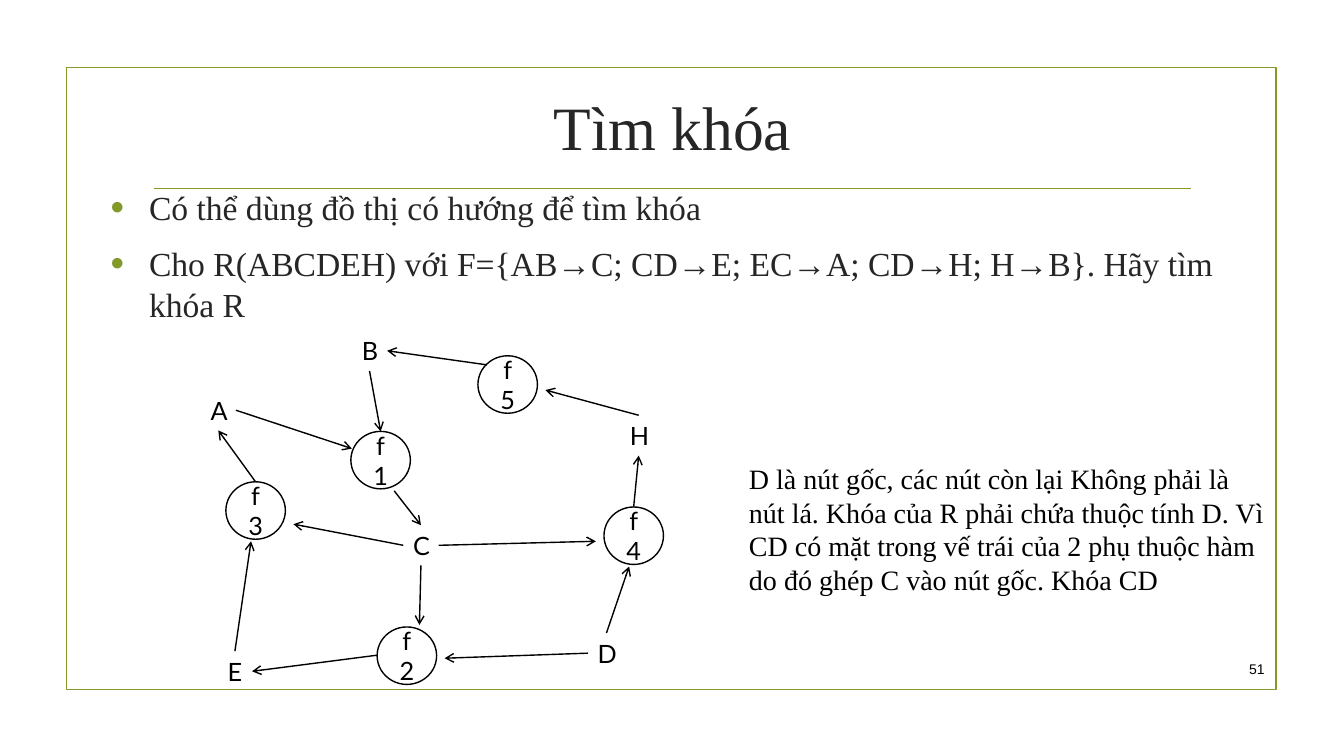
from dataclasses import dataclass

from lxml.etree import SubElement
from pptx import Presentation
from pptx.dml.color import RGBColor
from pptx.enum.shapes import MSO_CONNECTOR as Connector, MSO_SHAPE as Shape
from pptx.enum.text import MSO_ANCHOR as Anchor, PP_ALIGN as Align
from pptx.oxml.ns import qn
from pptx.util import Emu, Pt

PX = 9144


@dataclass(frozen=True)
class Theme:
    green: RGBColor = RGBColor(0x83, 0x99, 0x2A)
    heading: RGBColor = RGBColor(0x26, 0x26, 0x26)
    black: RGBColor = RGBColor(0, 0, 0)
    serif: str = "Times New Roman"
    node_font: str = "Lato"
    number_font: str = "Arial"
    title_size: int = 44
    body_size: int = 24
    note_size: int = 20
    node_size: int = 18
    number_size: int = 10
    frame_width: float = 1.25
    edge_width: float = 1


THEME = Theme()
TITLE = "Tìm khóa"
BULLETS = (
    "Có thể dùng đồ thị có hướng để tìm khóa",
    "Cho R(ABCDEH) với F={AB→C; CD→E; EC→A; CD→H; H→B}. Hãy tìm khóa R",
)
NOTE = (
    "D là nút gốc, các nút còn lại Không phải là nút lá. Khóa của R phải chứa thuộc "
    "tính D. Vì CD có mặt trong vế trái của 2 phụ thuộc hàm do đó ghép C vào nút gốc. "
    "Khóa CD"
)
ATTRIBUTES = {
    "B": (150, 0, 35),
    "A": (0, 59, 35),
    "D": (384, 300, 37),
    "H": (416, 84, 37),
    "E": (17, 318, 34),
    "C": (201, 193, 35),
}
DEPENDENCIES = {
    "f3": (25, 150),
    "f2": (175, 294),
    "f4": (400, 175),
    "f5": (275, 25),
    "f1": (149, 100),
}
TOP, LEFT, BOTTOM, RIGHT = range(4)
EDGES = (
    (("B", BOTTOM), ("f1", TOP)),
    (("A", RIGHT), (150, 117)),
    ((192, 159), ("C", TOP)),
    (("f4", TOP), ("H", BOTTOM)),
    (("H", TOP), (342, 59)),
    ((284, 34), ("B", RIGHT)),
    (("C", BOTTOM), (217, 292)),
    (("D", LEFT), (242, 325)),
    ((175, 322), ("E", RIGHT)),
    (("E", TOP), (50, 209)),
    (("C", LEFT), (92, 192)),
    (("f3", TOP), ("A", BOTTOM)),
    (("C", RIGHT), (392, 209)),
    (("D", TOP), (425, 234)),
)


def px(*lengths):
    return [Emu(length * PX) for length in lengths]


def assign(target, values):
    for name, value in values.items():
        setattr(target, name, value)


def write(shape, texts, font, size, color, frame_format=None, paragraph_format=None):
    frame = shape.text_frame
    assign(frame, {"word_wrap": True, **(frame_format or {})})
    for index, text in enumerate(texts):
        paragraph = frame.add_paragraph() if index else frame.paragraphs[0]
        assign(paragraph, paragraph_format or {})
        run = paragraph.add_run()
        run.text = text
        assign(run.font, {"name": font, "size": Pt(size)})
        run.font.color.rgb = color


def outline(line, color, width):
    line.color.rgb = color
    line.width = Pt(width)


def add_outlined(slide, kind, box, color, width):
    shape = slide.shapes.add_shape(kind, *px(*box))
    shape.shadow.inherit = False
    shape.fill.background()
    outline(shape.line, color, width)
    return shape


def add_line(slide, start, end, color, width):
    line = slide.shapes.add_connector(Connector.STRAIGHT, *px(*start, *end))
    outline(line.line, color, width)
    SubElement(line._element.spPr, qn("a:effectLst"))
    return line


def add_frame(slide, left, top, width, height):
    add_outlined(slide, Shape.RECTANGLE, (left, top, width, height),
                 THEME.green, THEME.frame_width)
    add_line(slide, (left + 87, top + 120), (left + 1115, top + 120),
             THEME.green, THEME.frame_width)
    number = slide.shapes.add_textbox(*px(left + 1139, top + 581, 59, 31))
    write(number, ["51"], THEME.number_font, THEME.number_size, THEME.black,
          {"vertical_anchor": Anchor.MIDDLE}, {"alignment": Align.RIGHT})


def add_title(slide, *box):
    title = slide.shapes.add_textbox(*px(*box))
    write(title, [TITLE], THEME.serif, THEME.title_size, THEME.heading,
          {"vertical_anchor": Anchor.MIDDLE}, {"alignment": Align.CENTER})


def add_bullets(slide, *box):
    body = slide.shapes.add_textbox(*px(*box))
    write(body, BULLETS, THEME.serif, THEME.body_size, THEME.heading,
          paragraph_format={"space_before": Pt(5), "space_after": Pt(6)})
    indent = 38 * PX
    for paragraph in body.text_frame.paragraphs:
        properties = paragraph._p.get_or_add_pPr()
        properties.set("marL", str(indent))
        properties.set("indent", str(-indent))
        color = SubElement(properties, qn("a:buClr"))
        SubElement(color, qn("a:srgbClr"), val=str(THEME.green))
        SubElement(properties, qn("a:buSzPct"), val="115000")
        SubElement(properties, qn("a:buFont"), typeface="Arial")
        SubElement(properties, qn("a:buChar"), char="•")


def add_graph(slide, left, top):
    nodes = {}
    centered = {"alignment": Align.CENTER}
    for name, (x, y, width) in ATTRIBUTES.items():
        nodes[name] = slide.shapes.add_textbox(*px(left + x, top + y, width, 40))
        write(nodes[name], [name], THEME.node_font, THEME.node_size, THEME.black,
              {"word_wrap": False}, centered)
    for name, (x, y) in DEPENDENCIES.items():
        nodes[name] = add_outlined(slide, Shape.OVAL, (left + x, top + y, 59, 57),
                                   THEME.black, THEME.edge_width)
        write(nodes[name], [name], THEME.node_font, THEME.node_size, THEME.black,
              {"vertical_anchor": Anchor.MIDDLE}, centered)
    for ends in EDGES:
        joined = [isinstance(end[0], str) for end in ends]
        start, finish = [
            (left, top) if is_joined else (left + end[0], top + end[1])
            for end, is_joined in zip(ends, joined)
        ]
        edge = add_line(slide, start, finish, THEME.black, THEME.edge_width)
        connects = (edge.begin_connect, edge.end_connect)
        for connect, end, is_joined in zip(connects, ends, joined):
            if is_joined:
                connect(nodes[end[0]], end[1])
        SubElement(edge.line._get_or_add_ln(), qn("a:tailEnd"), type="arrow")


def add_note(slide, *box):
    note = slide.shapes.add_textbox(*px(*box))
    write(note, [NOTE], THEME.serif, THEME.note_size, THEME.black)


def main():
    presentation = Presentation()
    width, height = px(1333, 750)
    assign(presentation, {"slide_width": width, "slide_height": height})
    slide = presentation.slides.add_slide(presentation.slide_layouts[6])
    add_frame(slide, 66, 67, 1200, 617)
    add_title(slide, 142, 68, 1050, 114)
    add_bullets(slide, 100, 181, 1164, 537)
    add_graph(slide, 199, 328)
    add_note(slide, 733, 453, 532, 145)
    presentation.save("out.pptx")


if __name__ == "__main__":
    main()
